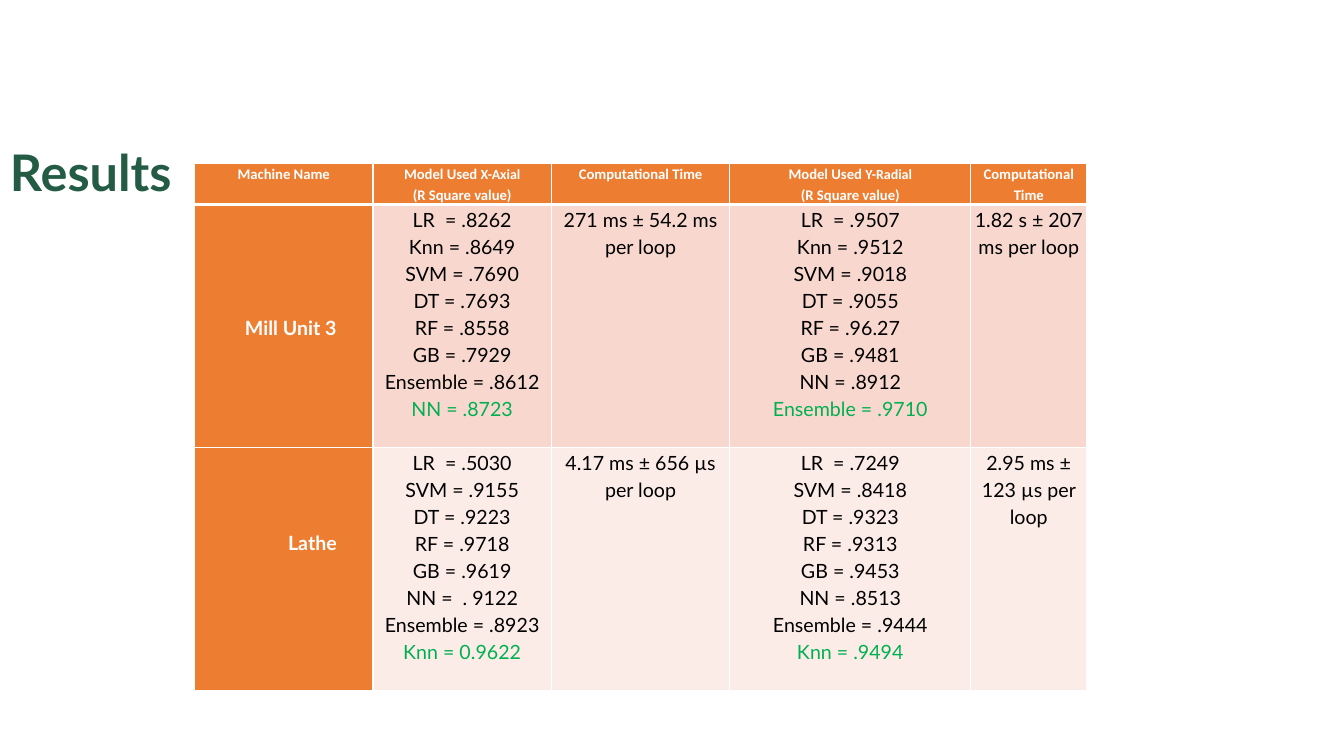
"""Build the model results slide with its comparison table."""
from lxml.etree import SubElement
from pptx import Presentation
from pptx.dml.color import RGBColor
from pptx.enum.text import MSO_ANCHOR, PP_ALIGN
from pptx.oxml.ns import qn
from pptx.util import Inches, Pt

COLORS = {
    "title": "245B45",
    "accent": "ED7D31",
    "white": "FFFFFF",
    "black": "000000",
    "best": "00B050",
}
ROW_FILLS = ["F8D7CE", "FCECE8"]
COLUMN_WIDTHS = [1.77, 1.77, 1.77, 2.39, 1.15]
ROW_HEIGHTS = [0.41, 2.41, 2.41]
HEADERS = [
    [[("Machine Name", 10.5)]],
    [[("Model Used ", 10.5), ("X-Axial", 10)], [("(R Square value)", 10.5)]],
    [[("Computational Time", 10.5)]],
    [[("Model Used ", 10.5), ("Y-Radial", 10)], [("(R Square value)", 10.5)]],
    [[("Computational Time", 10.5)]],
]
MACHINES = [
    {
        "name": "Mill Unit 3",
        "name_left": 0.17,
        "name_top": 1.07,
        "results": [
            ["LR  = .8262", "Knn = .8649", "SVM = .7690", "DT = .7693", "RF = .8558",
             "GB = .7929", "Ensemble = .8612", "NN = .8723"],
            ["271 ms ± 54.2 ms per loop"],
            ["LR  = .9507", "Knn = .9512", "SVM = .9018", "DT = .9055", "RF = .96.27",
             "GB = .9481", "NN = .8912", "Ensemble = .9710"],
            ["1.82 s ± 207 ms per loop"],
        ],
    },
    {
        "name": "Lathe",
        "name_left": 0.6,
        "name_top": 0.8,
        "results": [
            ["LR  = .5030", "SVM = .9155", "DT = .9223", "RF = .9718", "GB = .9619",
             "NN =  . 9122", "Ensemble = .8923", "Knn = 0.9622"],
            ["4.17 ms ± 656 µs per loop"],
            ["LR  = .7249", "SVM = .8418", "DT = .9323", "RF = .9313", "GB = .9453",
             "NN = .8513", "Ensemble = .9444", "Knn = .9494"],
            ["2.95 ms ± 123 µs per loop"],
        ],
    },
]


def add_run(paragraph, text, size, color, font="Lato", bold=False):
    """Add one formatted run to a paragraph."""
    run = paragraph.add_run()
    run.text = text
    run.font.name = font
    run.font.size = Pt(size)
    run.font.bold = bold
    run.font.color.rgb = RGBColor.from_string(COLORS[color])


def add_title(slide, text):
    """Add the slide title."""
    box = slide.shapes.add_textbox(Inches(0), Inches(1.28), Inches(11.5), Inches(0.92))
    frame = box.text_frame
    frame.word_wrap = True
    frame.vertical_anchor = MSO_ANCHOR.MIDDLE
    paragraph = frame.paragraphs[0]
    paragraph.line_spacing = 0.9
    add_run(paragraph, text, 36, "title", bold=True)


def add_cell_paragraph(cell, index):
    """Return the centred paragraph for a line of a cell."""
    frame = cell.text_frame
    paragraph = frame.add_paragraph() if index else frame.paragraphs[0]
    paragraph.alignment = PP_ALIGN.CENTER
    paragraph.line_spacing = 1.15
    return paragraph


def style_cell(cell, fill, top=1, bottom=1, inset_left=0.03, inset_top=0):
    """Set the insets, white borders and fill of a cell."""
    cell.margin_left, cell.margin_right = Inches(inset_left), Inches(0.03)
    cell.margin_top, cell.margin_bottom = Inches(inset_top), Inches(0)
    properties = cell._tc.get_or_add_tcPr()
    for side, width in (("L", 1), ("R", 1), ("T", top), ("B", bottom)):
        line = SubElement(properties, qn(f"a:ln{side}"), w=str(Pt(width)))
        line_fill = SubElement(line, qn("a:solidFill"))
        SubElement(line_fill, qn("a:srgbClr"), val=COLORS["white"])
    cell.fill.solid()
    cell.fill.fore_color.rgb = RGBColor.from_string(fill)


def fill_header(table):
    """Write the header row."""
    for column, lines in enumerate(HEADERS):
        cell = table.cell(0, column)
        style_cell(cell, COLORS["accent"], bottom=3)
        for index, runs in enumerate(lines):
            paragraph = add_cell_paragraph(cell, index)
            for text, size in runs:
                add_run(paragraph, text, size, "white", "Calibri", True)


def fill_machine(table, row, machine, fill):
    """Write a machine's name and results, with the best model in green."""
    top = 3 if row == 1 else 1
    name_cell = table.cell(row, 0)
    style_cell(name_cell, COLORS["accent"], top,
               inset_left=machine["name_left"], inset_top=machine["name_top"])
    add_run(add_cell_paragraph(name_cell, 0), machine["name"], 14, "white", bold=True)
    for column, lines in enumerate(machine["results"], 1):
        cell = table.cell(row, column)
        style_cell(cell, fill, top)
        for index, text in enumerate(lines):
            is_best = 0 < index == len(lines) - 1
            color = "best" if is_best else "black"
            add_run(add_cell_paragraph(cell, index), text, 14, color)


def add_results_table(slide):
    """Add the table of model scores and computational times."""
    frame = slide.shapes.add_table(
        len(ROW_HEIGHTS), len(COLUMN_WIDTHS), Inches(1.93), Inches(1.62),
        Inches(sum(COLUMN_WIDTHS)), Inches(sum(ROW_HEIGHTS)))
    table = frame.table
    for column, width in zip(table.columns, COLUMN_WIDTHS):
        column.width = Inches(width)
    for row, height in zip(table.rows, ROW_HEIGHTS):
        row.height = Inches(height)
    fill_header(table)
    for row, (machine, fill) in enumerate(zip(MACHINES, ROW_FILLS), 1):
        fill_machine(table, row, machine, fill)


def main():
    """Create and save the presentation."""
    presentation = Presentation()
    presentation.slide_width = Inches(13.33)
    presentation.slide_height = Inches(7.5)
    slide = presentation.slides.add_slide(presentation.slide_layouts[6])
    add_title(slide, "Results")
    add_results_table(slide)
    presentation.save("out.pptx")


if __name__ == "__main__":
    main()
